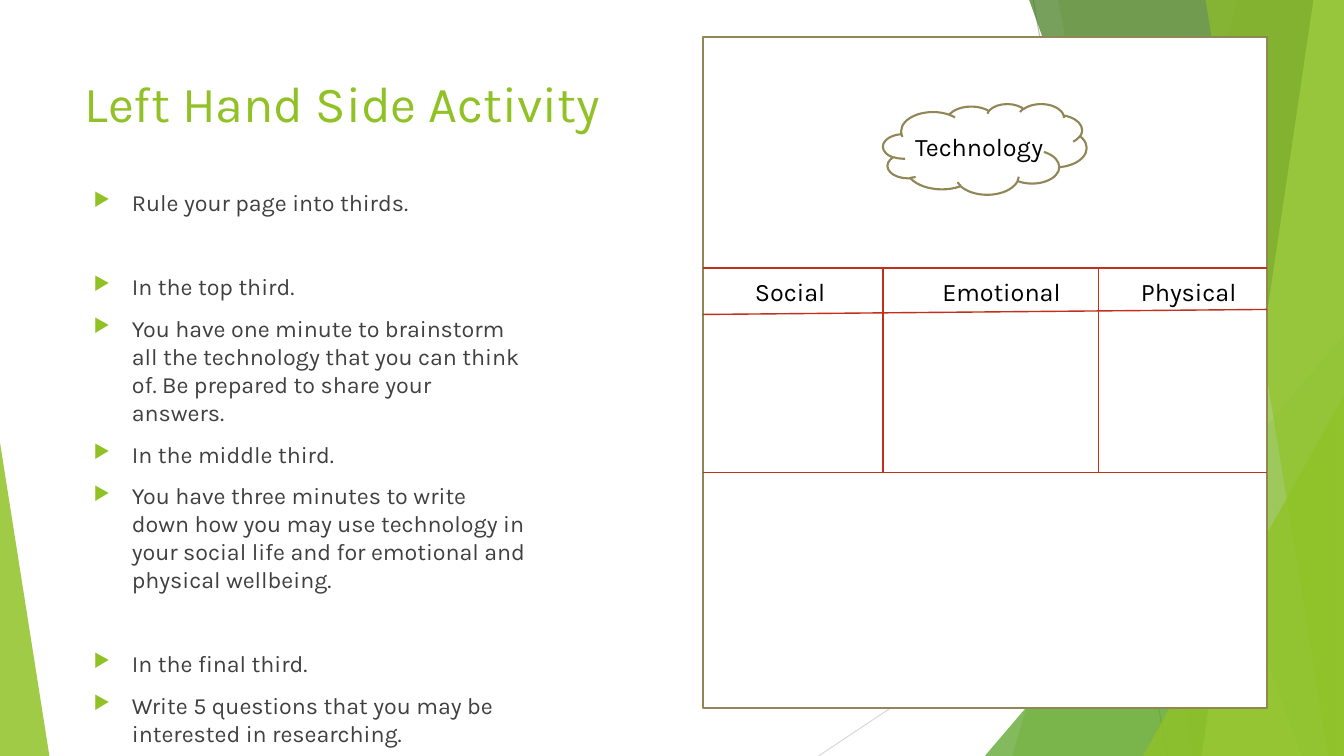
from lxml.etree import SubElement
from pptx import Presentation
from pptx.dml.color import RGBColor
from pptx.enum.shapes import MSO_CONNECTOR, MSO_SHAPE
from pptx.oxml.ns import qn
from pptx.util import Inches, Pt

COLS, ROWS = 133.33, 75
GREEN, LEAF, FOREST, LIME = "90C226", "54A021", "3F7819", "C0E474"
BROWN, RED, WHITE, BLACK, GREY = "918655", "C42F1A", "FFFFFF", "000000", "404040"


def rgb(value):
    return RGBColor.from_string(value)


def grid(*cells):
    return [Inches(cell / 10) for cell in cells]


class Page:
    """Draws elements on one slide, on a grid of ten columns and rows per inch."""

    font = "Karla"

    def __init__(self, prs):
        self.slide = prs.slides.add_slide(prs.slide_layouts[6])
        self.shapes = self.slide.shapes

    def paint(self, sp, fill, alpha=100, line=None):
        sp.shadow.inherit = False
        sp.fill.solid()
        sp.fill.fore_color.rgb = rgb(fill)
        if alpha < 100:
            clr = sp._element.spPr.find(qn("a:solidFill")).find(qn("a:srgbClr"))
            SubElement(clr, qn("a:alpha")).set("val", str(alpha * 1000))
        if line:
            sp.line.color.rgb = rgb(line)
            sp.line.width = Pt(1.5)
        else:
            sp.line.fill.background()

    def facet(self, points, fill, alpha):
        start, *rest = [grid(*point) for point in points]
        builder = self.shapes.build_freeform(*start, scale=1.0)
        builder.add_line_segments(rest, close=True)
        self.paint(builder.convert_to_shape(), fill, alpha)

    def shape(self, kind, box, fill, line=None, alpha=100, adj=None):
        sp = self.shapes.add_shape(kind, *grid(*box))
        if adj is not None:
            sp.adjustments[0] = adj
        self.paint(sp, fill, alpha, line)

    def line(self, start, end, color, width=1):
        cxn = self.shapes.add_connector(
            MSO_CONNECTOR.STRAIGHT, *grid(*start), *grid(*end))
        cxn.line.color.rgb = rgb(color)
        cxn.line.width = Pt(width)
        SubElement(cxn._element.spPr, qn("a:effectLst"))

    def run(self, p, text, size, color):
        r = p.add_run()
        r.text = text
        r.font.name = self.font
        r.font.size = Pt(size)
        r.font.color.rgb = rgb(color)

    def frame(self, box):
        tf = self.shapes.add_textbox(*grid(*box)).text_frame
        tf.word_wrap = True
        return tf

    def text(self, box, text, size=18, color=BLACK):
        self.run(self.frame(box).paragraphs[0], text, size, color)

    def bullets(self, box, items, size, color, mark):
        tf = self.frame(box)
        for i, (text, before) in enumerate(items):
            p = tf.add_paragraph() if i else tf.paragraphs[0]
            pPr = p._p.get_or_add_pPr()
            indent = Inches(0.38)
            pPr.set("marL", str(indent))
            pPr.set("indent", str(-indent))
            clr = SubElement(pPr, qn("a:buClr"))
            SubElement(clr, qn("a:srgbClr")).set("val", mark)
            SubElement(pPr, qn("a:buSzPct")).set("val", "80000")
            SubElement(pPr, qn("a:buChar")).set("char", "▶")
            p.space_before = Pt(before)
            self.run(p, text, size, color)


def draw_backdrop(page):
    page.line((102.5, 0), (115.8, ROWS), "BFBFBF", 0.75)
    page.line((COLS, 40.3), (81.2, ROWS), "D9D9D9", 0.75)

    def band(top, bottom, fill, alpha):
        page.facet([(top, 0), (COLS, 0), (COLS, ROWS), (bottom, ROWS)], fill, alpha)

    def corner(left, top, width, fill, alpha, adj):
        page.shape(MSO_SHAPE.ISOSCELES_TRIANGLE, (left, top, width, ROWS - top),
                   fill, alpha=alpha, adj=adj)

    band(122.8, 100.4, GREEN, 30)
    band(105, 118.3, GREEN, 20)
    corner(97.7, 33.3, 35.6, LEAF, 72, 1)
    band(102.1, 129.1, FOREST, 70)
    band(130.3, 119.2, LIME, 70)
    band(119.6, 131.8, GREEN, 65)
    corner(113.4, 39.3, 19.9, GREEN, 80, 1)
    corner(0, 43.9, 4.9, GREEN, 85, 0)


def draw_instructions(page):
    page.text((7.4, 6.7, 94, 14.4), "Left Hand Side Activity", 36, GREEN)
    near, far = 10, 40
    page.bullets((8.3, 18.2, 45.1, 53.7), [
        ("Rule your page into thirds.", 0),
        ("In the top third.", far),
        ("You have one minute to brainstorm all the technology that you can "
         "think of. Be prepared to share your answers.", near),
        ("In the middle third.", near),
        ("You have three minutes to write down how you may use technology in "
         "your social life and for emotional and physical wellbeing.", near),
        ("In the final third.", far),
        ("Write 5 questions that you may be interested in researching.", near),
    ], 16.6, GREY, GREEN)


def draw_notebook(page):
    left, right, upper, lower = 69.7, 125.7, 26.6, 46.9
    page.shape(MSO_SHAPE.RECTANGLE, (left, 3.7, right - left, 66.5), WHITE, BROWN)
    for row in (upper, lower):
        page.line((left, row), (right, row), RED)
    page.shape(MSO_SHAPE.CLOUD, (87.6, 10.3, 20.2, 9), WHITE, BROWN)
    page.text((89.8, 12.5, 15.9, 4), "Technology")
    for col in (87.6, 109):
        page.line((col, upper), (col, lower), RED)
    page.line((right, 30.7), (left, 31.2), RED)
    for col, label in ((73.9, "Social"), (92.5, "Emotional"), (112.2, "Physical")):
        page.text((col, 26.9, 14.6, 4.1), label)


def main():
    prs = Presentation()
    prs.slide_width, prs.slide_height = grid(COLS, ROWS)
    page = Page(prs)
    draw_backdrop(page)
    draw_instructions(page)
    draw_notebook(page)
    prs.save("out.pptx")


if __name__ == "__main__":
    main()
